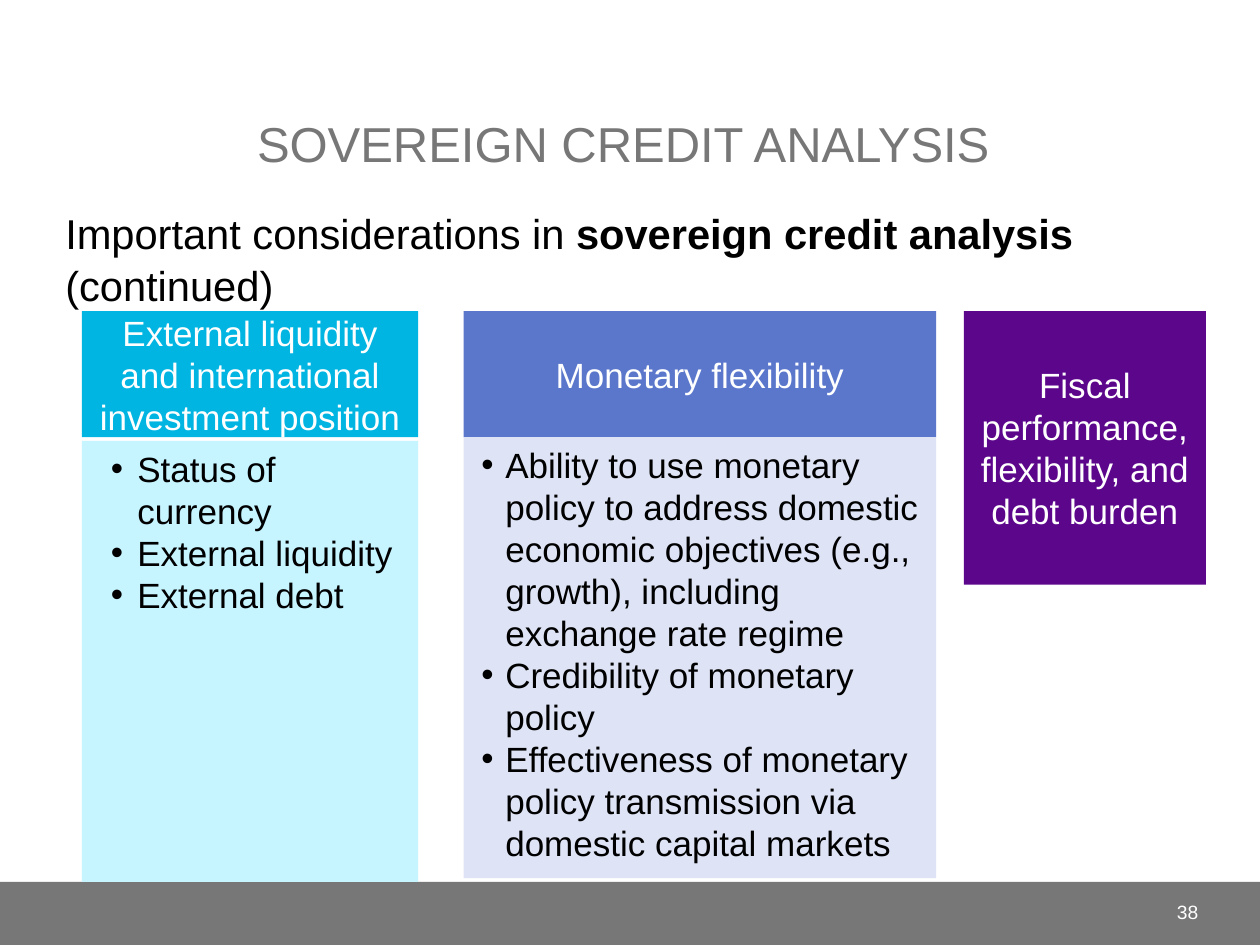
from dataclasses import dataclass

import pptx
import pptx.dml.color
import pptx.enum.shapes
import pptx.enum.text
import pptx.oxml
import pptx.oxml.ns
import pptx.util
from pptx.util import Inches

ALIGN = pptx.enum.text.PP_ALIGN
ANCHOR = pptx.enum.text.MSO_ANCHOR


@dataclass(frozen=True)
class Theme:
    font: str = "Arial"
    gray: str = "777777"
    white: str = "FFFFFF"
    black: str = "000000"
    cyan: str = "00B5E2"
    pale_cyan: str = "C6F4FF"
    blue: str = "5B77CC"
    pale_blue: str = "DEE4F5"
    purple: str = "5C068C"
    title_size: float = 28
    lead_size: float = 23.8
    panel_size: float = 20
    number_size: float = 11


THEME = Theme()


def rgb(color):
    return pptx.dml.color.RGBColor.from_string(color)


def style(font, size, color, bold=False):
    font.name = THEME.font
    font.size = pptx.util.Pt(size)
    font.color.rgb = rgb(color)
    font.bold = bold


def add_panel(slide, left, top, width, height, color):
    panel = slide.shapes.add_shape(
        pptx.enum.shapes.MSO_SHAPE.RECTANGLE,
        Inches(left), Inches(top), Inches(width), Inches(height))
    panel.shadow.inherit = False
    panel.fill.solid()
    panel.fill.fore_color.rgb = rgb(color)
    panel.line.fill.background()
    return panel


def write_line(frame, text, size, color, align, anchor):
    frame.word_wrap = True
    frame.vertical_anchor = anchor
    frame.text = text
    line = frame.paragraphs[0]
    line.alignment = align
    for run in line.runs:
        style(run.font, size, color)


def add_label(slide, left, top, width, height):
    return slide.shapes.add_textbox(
        Inches(left), Inches(top), Inches(width), Inches(height)).text_frame


def add_header(slide, left, top, width, height, color, text):
    header = add_panel(slide, left, top, width, height, color)
    write_line(header.text_frame, text, THEME.panel_size, THEME.white,
               ALIGN.CENTER, ANCHOR.MIDDLE)


def add_bullet(paragraph, margin, hanging):
    properties = paragraph._p.get_or_add_pPr()
    properties.set("marL", str(Inches(margin)))
    properties.set("indent", str(-Inches(hanging)))
    namespace = pptx.oxml.ns.nsdecls("a")
    properties.append(pptx.oxml.parse_xml(f'<a:buFont {namespace} typeface="Arial"/>'))
    properties.append(pptx.oxml.parse_xml(f'<a:buChar {namespace} char="•"/>'))


def add_points(slide, left, top, width, color, points, margin, hanging):
    frame = add_panel(slide, left, top, width, 3.5, color).text_frame
    frame.word_wrap = True
    frame.vertical_anchor = ANCHOR.TOP
    frame.margin_left = Inches(0.04)
    frame.text = "\n".join(points)
    for point in frame.paragraphs:
        point.level = 1
        point.alignment = ALIGN.LEFT
        add_bullet(point, margin, hanging)
        for run in point.runs:
            style(run.font, THEME.panel_size, THEME.black)


def add_lead(slide, parts):
    frame = add_label(slide, 0.42, 1.58, 9.16, 0.83)
    frame.word_wrap = True
    lead = frame.paragraphs[0]
    lead.line_spacing = 1.05
    for text, bold in parts:
        run = lead.add_run()
        run.text = text
        style(run.font, THEME.lead_size, THEME.black, bold)


def main():
    deck = pptx.Presentation()
    deck.slide_width, deck.slide_height = Inches(10), Inches(7.5)
    slide = deck.slides.add_slide(deck.slide_layouts[6])

    add_panel(slide, 0, 7, 10, 0.5, THEME.gray)
    write_line(add_label(slide, 0.42, 0.17, 9.16, 1.25), "SOVEREIGN CREDIT ANALYSIS ",
               THEME.title_size, THEME.gray, ALIGN.CENTER, ANCHOR.BOTTOM)
    write_line(add_label(slide, 8.75, 7.04, 0.86, 0.4), "38",
               THEME.number_size, THEME.white, ALIGN.RIGHT, ANCHOR.MIDDLE)

    header_top = 2.47
    headers = [
        (0.65, 2.67, 1, THEME.cyan,
         "External liquidity and international investment position"),
        (3.68, 3.75, 1, THEME.blue, "Monetary flexibility"),
        (7.65, 1.92, 2.17, THEME.purple,
         "Fiscal performance, flexibility, and debt burden"),
    ]
    for left, width, height, color, text in headers:
        add_header(slide, left, header_top, width, height, color, text)

    add_points(slide, 0.65, 3.5, 2.67, THEME.pale_cyan,
               ["Status of currency", "External liquidity", "External debt"], 0.4, 0.21)
    add_points(slide, 3.68, 3.47, 3.75, THEME.pale_blue, [
        "Ability to use monetary policy to address domestic economic objectives "
        "(e.g., growth), including exchange rate regime",
        "Credibility of monetary policy",
        "Effectiveness of monetary policy transmission via domestic capital markets",
    ], 0.29, 0.19)

    add_lead(slide, [("Important considerations in ", False),
                     ("sovereign credit analysis ", True),
                     ("(continued)", False)])
    deck.save("out.pptx")


if __name__ == "__main__":
    main()
